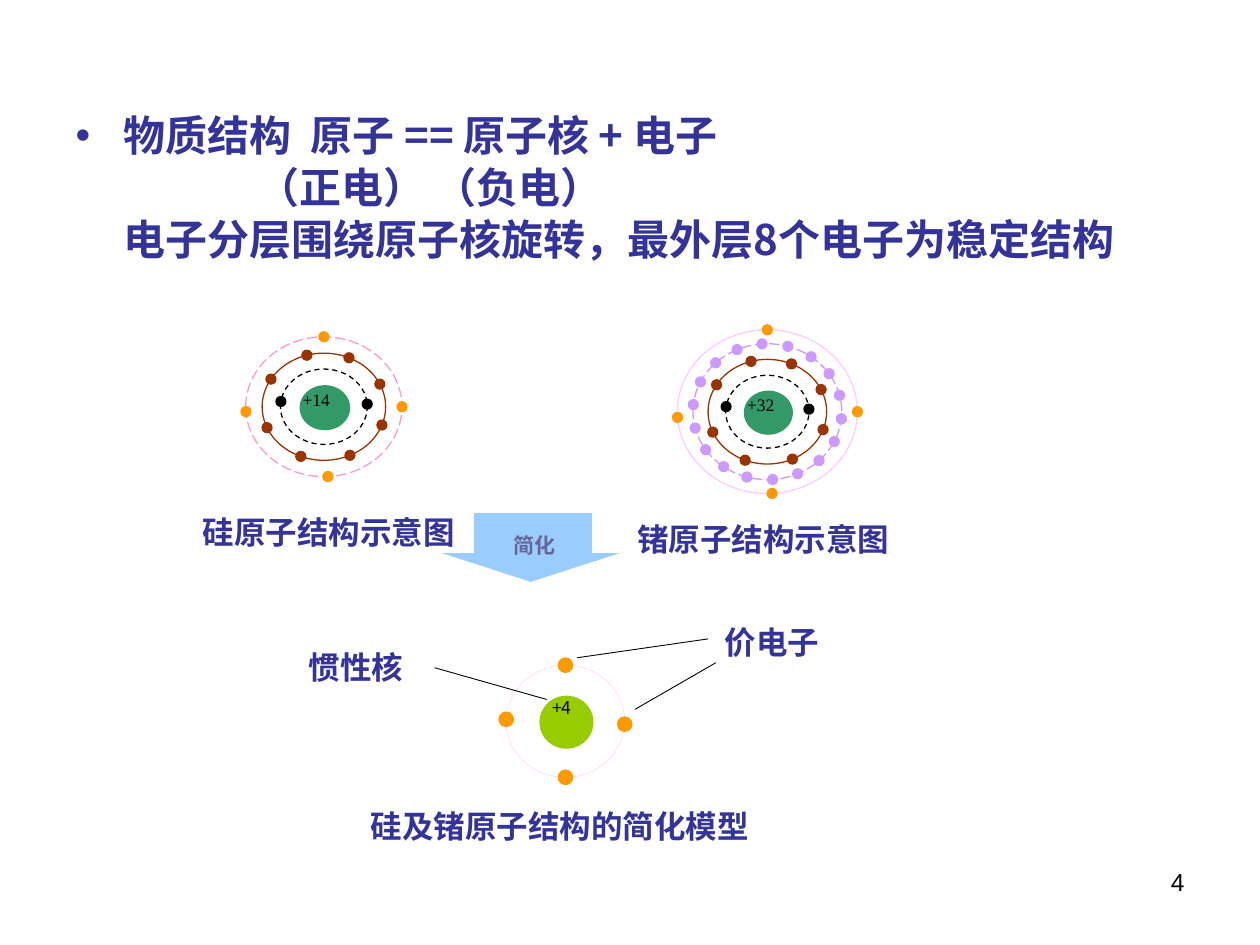
from math import cos, radians, sin

from lxml import etree
from pptx import Presentation
from pptx.dml.color import RGBColor
from pptx.enum.dml import MSO_LINE
from pptx.enum.shapes import MSO_CONNECTOR, MSO_SHAPE
from pptx.enum.text import MSO_ANCHOR, MSO_AUTO_SIZE, PP_ALIGN
from pptx.oxml.ns import qn
from pptx.util import Cm, Pt

OVAL, BLOCK, WEDGE = MSO_SHAPE.OVAL, MSO_SHAPE.RECTANGLE, MSO_SHAPE.ISOSCELES_TRIANGLE
DASH, LONG_DASH, SOLID = MSO_LINE.DASH, MSO_LINE.LONG_DASH, MSO_LINE.SOLID
JUSTIFY, RIGHT = PP_ALIGN.JUSTIFY, PP_ALIGN.RIGHT
SANS, SERIF, PLAIN = "Noto Sans CJK SC", "Times New Roman", "Arial"
COLORS = {
    "text": "333399", "black": "000000", "brown": "993300", "orange": "FF9900",
    "violet": "CC99FF", "pink": "FF99CC", "pale": "FFCCFF", "green": "339966",
    "lime": "99CC00", "arrow": "99CCFF", "slate": "666699",
}

deck = Presentation()
deck.slide_width, deck.slide_height = Cm(25.4), Cm(19.05)
page = deck.slides.add_slide(deck.slide_layouts[1])
title = page.shapes.title
title.element.getparent().remove(title.element)


def add_shape(kind, center_x, center_y, width, height, fill=None, line=None, weight=0.75, dash=SOLID):
    shape = page.shapes.add_shape(
        kind, Cm(center_x - width / 2), Cm(center_y - height / 2), Cm(width), Cm(height))
    shape.shadow.inherit = False
    if fill:
        shape.fill.solid()
        shape.fill.fore_color.rgb = RGBColor.from_string(COLORS[fill])
    else:
        shape.fill.background()
    if line:
        shape.line.color.rgb = RGBColor.from_string(COLORS[line])
        shape.line.width = Pt(weight)
        shape.line.dash_style = dash
    else:
        shape.line.fill.background()
    return shape


def write(para, text, size, face, color, bold):
    span = para.add_run()
    span.text = text
    formats = {"size": Pt(size), "name": face, "bold": bold}
    for name, value in formats.items():
        setattr(span.font, name, value)
    span.font.color.rgb = RGBColor.from_string(COLORS[color])
    etree.SubElement(span.font._element, qn("a:ea")).set("typeface", SANS)


body = page.placeholders[1]
body_place = {"left": Cm(1.27), "top": Cm(2.26), "width": Cm(22.86), "height": Cm(14.76)}
for name, value in body_place.items():
    setattr(body, name, value)
body.text_frame.auto_size = MSO_AUTO_SIZE.NONE
body.text_frame.vertical_anchor = MSO_ANCHOR.TOP
body_lines = [
    ("物质结构  原子 == 原子核 + 电子", 0.97, -0.97),
    ("（正电） （负电）", 3.66, 0),
    ("电子分层围绕原子核旋转，最外层8个电子为稳定结构", 0.97, 0),
]
for index, (text, margin, indent) in enumerate(body_lines):
    para = body.text_frame.add_paragraph() if index else body.text_frame.paragraphs[0]
    para.space_before = Pt(6)
    para.line_spacing = 0.82
    write(para, text, 24, SANS, "text", True)
    properties = para._p.get_or_add_pPr()
    properties.set("marL", str(Cm(margin)))
    properties.set("indent", str(Cm(indent)))
    if indent:
        bullet_color = etree.SubElement(properties, qn("a:buClr"))
        etree.SubElement(bullet_color, qn("a:srgbClr")).set("val", COLORS["text"])
        etree.SubElement(properties, qn("a:buFont")).set("typeface", PLAIN)
        etree.SubElement(properties, qn("a:buChar")).set("char", "•")
    else:
        etree.SubElement(properties, qn("a:buNone"))

INNER = [188, 356]
SECOND = [20, 65, 112, 157, 211, 254, 294, 335]
VALENCE = [0, 87, 176, 270]
EIGHTEEN = range(6, 366, 20)
atoms = [
    {"center": (6.53, 8.2), "nucleus": (1.02, 0.91, "green"), "dot": 0.2, "rings": [
        (1.75, 1.52, "black", 0.75, DASH, "black", INNER),
        (2.49, 2.16, "brown", 0.75, SOLID, "brown", SECOND),
        (3.15, 2.82, "pink", 0.75, LONG_DASH, "orange", VALENCE)]},
    {"center": (15.47, 8.3), "nucleus": (0.99, 0.89, "green"), "dot": 0.2, "rings": [
        (1.68, 1.47, "black", 0.75, DASH, "black", INNER),
        (2.39, 2.11, "brown", 0.75, SOLID, "brown", SECOND),
        (3, 2.74, "violet", 0.75, LONG_DASH, "violet", EIGHTEEN),
        (3.63, 3.3, "pale", 0.75, SOLID, "orange", VALENCE)]},
    {"center": (11.4, 14.54), "nucleus": (1.09, 1.07, "lime"), "dot": 0.29, "rings": [
        (2.39, 2.26, "pale", 0.25, SOLID, "orange", [3, 90, 182, 270])]},
]
for atom in atoms:
    center_x, center_y = atom["center"]
    width, height, color = atom["nucleus"]
    add_shape(OVAL, center_x + 0.02, center_y + 0.02, width, height, color)
    for width, height, color, weight, dash, electron, angles in atom["rings"]:
        add_shape(OVAL, center_x, center_y, width, height, None, color, weight, dash)
        for angle in angles:
            add_shape(OVAL, center_x + width / 2 * cos(radians(angle)),
                      center_y + height / 2 * sin(radians(angle)),
                      atom["dot"], atom["dot"], electron, electron)

arrow_head = add_shape(WEDGE, 10.7, 11.44, 3.58, 0.58, "arrow")
arrow_head.rotation = 180
add_shape(BLOCK, 10.75, 10.77, 2.36, 0.81, "arrow", "arrow")

labels = [
    ("+14", 6.1, 7.85, 1.27, 0.79, 10, SERIF, "black", False, 1),
    ("+32", 15.06, 7.95, 1.22, 0.76, 10, SERIF, "black", False, 1),
    ("+4", 11.13, 14.05, 0.97, 1.14, 10, SANS, "black", False, 1),
    ("简化", 10.36, 10.74, 1.22, 0.81, 12, SERIF, "slate", True, 1),
    ("硅原子结构示意图", 4.09, 10.34, 5.38, 0.99, 18, SANS, "text", True, 1),
    ("锗原子结构示意图", 12.85, 10.49, 5.56, 0.86, 18, SANS, "text", True, 1),
    ("硅及锗原子结构的简化模型", 7.47, 16.23, 9.02, 1.27, 18, SANS, "text", True, 1.04),
    ("价电子", 14.61, 12.52, 2.06, 0.89, 18, SANS, "text", True, 1.04),
    ("惯性核", 6.22, 13.03, 2.44, 0.89, 18, SANS, "text", True, 1.04),
    ("4", 18.21, 17.35, 5.92, 1.32, 14, PLAIN, "black", False, 1),
]
for text, left, top, width, height, size, face, color, bold, spacing in labels:
    box = page.shapes.add_textbox(Cm(left), Cm(top), Cm(width), Cm(height))
    frame = box.text_frame
    frame.word_wrap = True
    page_number = face == PLAIN
    if not page_number:
        for side in ("left", "top", "right", "bottom"):
            setattr(frame, f"margin_{side}", 0)
    para = frame.paragraphs[0]
    para.alignment = RIGHT if page_number else JUSTIFY
    para.line_spacing = spacing
    write(para, text, size, face, color, bold)

leaders = [
    (11.02, 14.1, 8.76, 13.46),
    (11.63, 13.26, 14.27, 12.88),
    (12.8, 14.3, 16.26 - 1.83, 13.36),
]
for ends in leaders:
    leader = page.shapes.add_connector(MSO_CONNECTOR.STRAIGHT, *map(Cm, ends))
    leader.line.color.rgb = RGBColor.from_string(COLORS["black"])
    leader.line.width = Pt(0.5)
    etree.SubElement(leader._element.spPr, qn("a:effectLst"))

deck.save("out.pptx")
